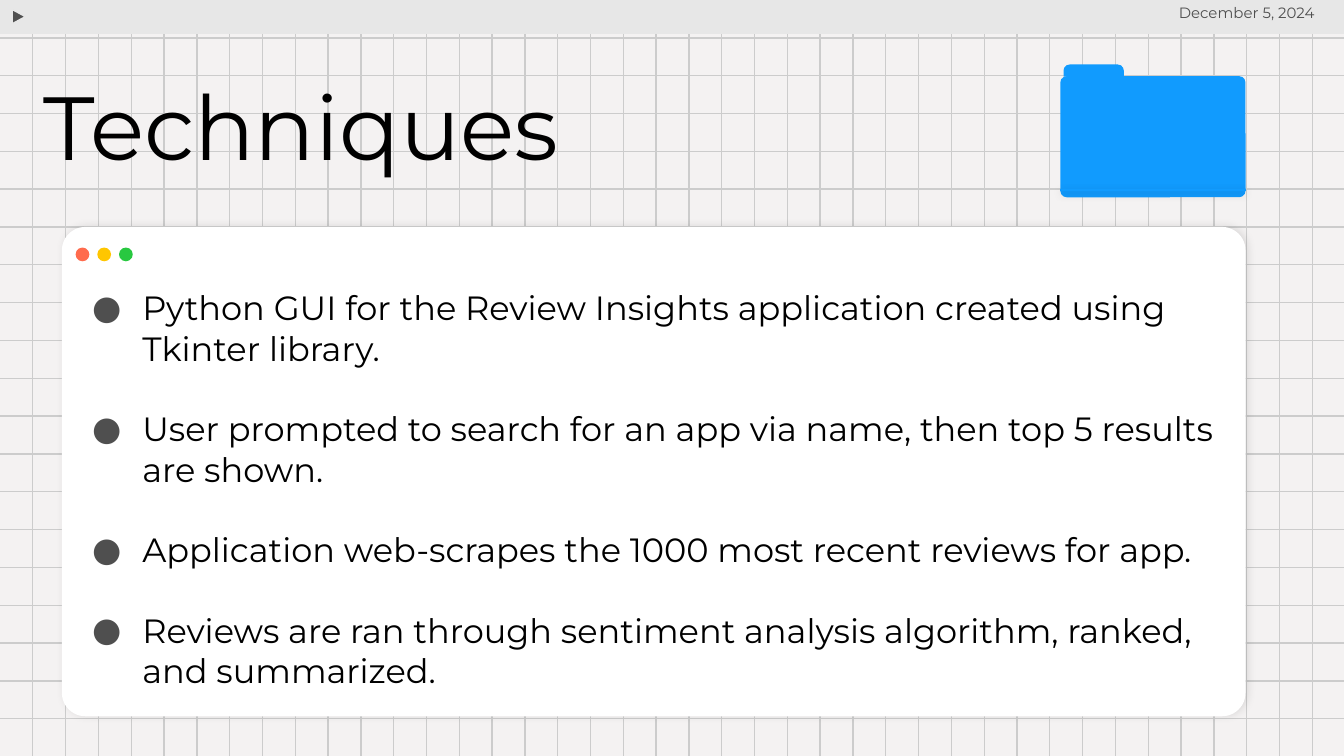
from collections import namedtuple

from lxml.etree import SubElement
from pptx import Presentation
from pptx.dml.color import RGBColor
from pptx.enum.shapes import MSO_CONNECTOR, MSO_SHAPE
from pptx.enum.text import MSO_ANCHOR, PP_ALIGN
from pptx.oxml.ns import qn
from pptx.util import Cm, Pt

Box = namedtuple("Box", "left top width height")

PAPER = RGBColor(0xF4, 0xF2, 0xF2)
GRID_GRAY = RGBColor(0xCC, 0xCC, 0xCC)
BAR_GRAY = RGBColor(0xE7, 0xE7, 0xE7)
DARK_GRAY = RGBColor(0x4F, 0x4F, 0x4F)
BLACK = RGBColor(0x00, 0x00, 0x00)
WHITE = RGBColor(0xFF, 0xFF, 0xFF)
RED = RGBColor(0xFF, 0x6B, 0x4D)
YELLOW = RGBColor(0xFF, 0xC6, 0x00)
GREEN = RGBColor(0x28, 0xC8, 0x40)
BLUE = RGBColor(0x11, 0x9B, 0xFE)

FONT = "Montserrat"
COLUMN_STEP = 0.62
ROW_STEP = 0.715
TECHNIQUES = [
    "Python GUI for the Review Insights application created using Tkinter library.",
    "User prompted to search for an app via name, then top 5 results are shown.",
    "Application web-scrapes the 1000 most recent reviews for app.",
    "Reviews are ran through sentiment analysis algorithm, ranked, and summarized.",
]


def add_plain_shape(slide, kind, box, color, adjustments=()):
    """Add a filled preset shape without outline or shadow."""
    shape = slide.shapes.add_shape(kind, *map(Cm, box))
    shape.shadow.inherit = False
    shape.fill.solid()
    shape.fill.fore_color.rgb = color
    shape.line.fill.background()
    for index, value in enumerate(adjustments):
        shape.adjustments[index] = value
    return shape


def add_plain_line(slide, start, end, color):
    """Add a thin straight line with an empty effect list."""
    line = slide.shapes.add_connector(
        MSO_CONNECTOR.STRAIGHT, *map(Cm, start + end))
    line.line.color.rgb = color
    line.line.width = Pt(0.75)
    SubElement(line._element.spPr, qn("a:effectLst"))
    return line


def add_shadow(shape, opacity, degrees):
    """Put a soft outer shadow in the effect list of a shape."""
    effects = shape._element.spPr.find(qn("a:effectLst"))
    shadow = SubElement(
        effects, qn("a:outerShdw"), blurRad=str(Pt(4.5)), dist=str(Pt(1.5)),
        dir=str(degrees * 60000), algn="bl", rotWithShape="0")
    color = SubElement(shadow, qn("a:srgbClr"), val=str(BLACK))
    SubElement(color, qn("a:alpha"), val=str(opacity * 1000))


def add_text(slide, box, lines, size, color, anchor=MSO_ANCHOR.TOP):
    """Add a wrapped text box and return its paragraphs."""
    text_frame = slide.shapes.add_textbox(*map(Cm, box)).text_frame
    text_frame.word_wrap = True
    text_frame.vertical_anchor = anchor
    text_frame.margin_left = text_frame.margin_right = Cm(0.25)
    text_frame.margin_top = text_frame.margin_bottom = Cm(0.25)
    text_frame.text = "\n".join(lines)
    for paragraph in text_frame.paragraphs:
        for run in paragraph.runs:
            run.font.name = FONT
            run.font.size = Pt(size)
            run.font.color.rgb = color
    return text_frame.paragraphs


def add_bullet(paragraph):
    """Give a paragraph a hanging gray round bullet."""
    properties = paragraph._p.get_or_add_pPr()
    properties.set("marL", str(Cm(1.27)))
    properties.set("indent", str(-Cm(0.95)))
    color = SubElement(properties, qn("a:buClr"))
    SubElement(color, qn("a:srgbClr"), val=str(DARK_GRAY))
    SubElement(properties, qn("a:buSzPts"), val="1800")
    SubElement(properties, qn("a:buFont"), typeface=FONT)
    SubElement(properties, qn("a:buChar"), char="●")


def add_grid(slide, box):
    """Rule the box with evenly spaced rows and columns."""
    right, bottom = box.left + box.width, box.top + box.height
    for row in range(1, int(box.height / ROW_STEP) + 1):
        y = box.top + row * ROW_STEP
        add_plain_line(slide, (box.left, y), (right, y), GRID_GRAY)
    for column in range(1, int(box.width / COLUMN_STEP) + 1):
        x = box.left + column * COLUMN_STEP
        add_plain_line(slide, (x, box.top), (x, bottom), GRID_GRAY)


def add_menu_bar(slide, box):
    """Draw the top bar with its play mark and date."""
    add_plain_shape(slide, MSO_SHAPE.RECTANGLE, box, BAR_GRAY)
    mark = add_plain_shape(
        slide, MSO_SHAPE.ISOSCELES_TRIANGLE,
        Box(box.left + 0.22, box.top + 0.19, 0.27, 0.25), DARK_GRAY)
    mark.rotation = 90
    mark.line.color.rgb = BAR_GRAY
    mark.line.width = Pt(0.75)
    date_box = Box(box.left + box.width - 4.55, box.top - 0.1, 4.25, 1.19)
    date = add_text(slide, date_box, ["December 5, 2024"], 8, DARK_GRAY)[0]
    date.alignment = PP_ALIGN.RIGHT


def add_title(slide, box):
    """Write the slide title."""
    title = add_text(
        slide, box, ["Techniques"], 48, BLACK, MSO_ANCHOR.MIDDLE)[0]
    title.line_spacing = 0.9


def add_window(slide, box):
    """Draw the window card with its buttons and bulleted list."""
    card = add_plain_shape(
        slide, MSO_SHAPE.ROUNDED_RECTANGLE, box, WHITE, [0.048])
    add_shadow(card, 11, 0)
    list_box = Box(box.left, box.top + 0.89, box.width, box.height - 1.04)
    for index, paragraph in enumerate(
            add_text(slide, list_box, TECHNIQUES, 18, BLACK)):
        paragraph.space_before = Pt(21.6 if index else 0)
        add_bullet(paragraph)
    for index, color in enumerate([RED, YELLOW, GREEN]):
        button = Box(box.left + 0.26 + index * 0.41, box.top + 0.39, 0.26, 0.26)
        add_plain_shape(slide, MSO_SHAPE.OVAL, button, color)


def add_folder(slide, box):
    """Draw the folder from a tab, a body and a shaded fold."""
    tab = Box(box.left + 0.06, box.top, 1.14, 0.23)
    add_plain_shape(
        slide, MSO_SHAPE.ROUND_2_SAME_RECTANGLE, tab, BLUE, [0.5, 0])
    body = Box(box.left, box.top + 0.22, box.width, box.height - 0.22)
    add_plain_shape(slide, MSO_SHAPE.ROUNDED_RECTANGLE, body, BLUE, [0.053])
    y = box.top + box.height - 0.14
    fold = add_plain_line(
        slide, (box.left, y), (box.left + box.width, y), BLUE)
    add_shadow(fold, 30, 90)


def main():
    """Build the slide and save it."""
    presentation = Presentation()
    presentation.slide_width = Cm(25.4)
    presentation.slide_height = Cm(14.29)
    slide = presentation.slides.add_slide(presentation.slide_layouts[6])
    slide.background.fill.solid()
    slide.background.fill.fore_color.rgb = PAPER

    add_grid(slide, Box(0, 0, 25.4, 14.29))
    add_menu_bar(slide, Box(0, 0, 25.4, 0.64))
    add_window(slide, Box(1.17, 4.29, 22.37, 9.25))
    add_title(slide, Box(0.58, 1.3, 24.26, 2.36))
    add_folder(slide, Box(20.04, 1.22, 3.5, 2.51))
    presentation.save("out.pptx")


if __name__ == "__main__":
    main()
